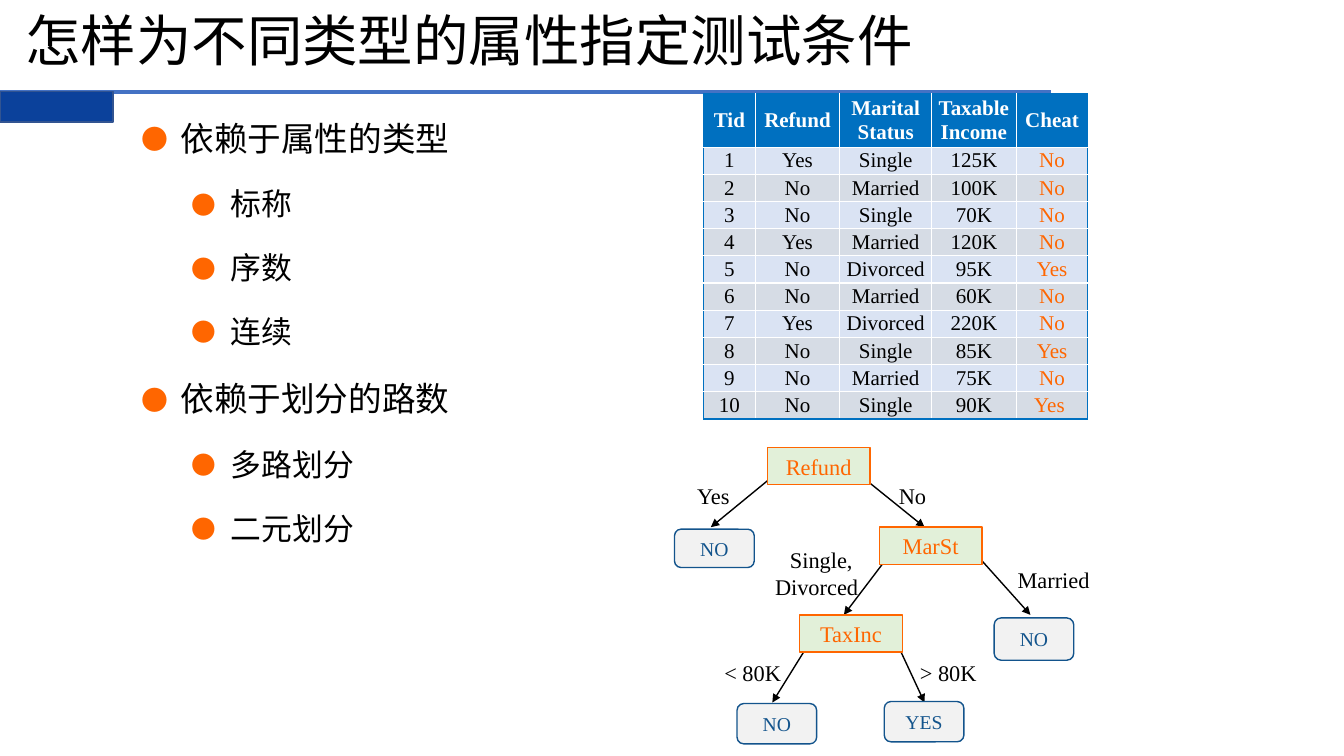
import dataclasses
import pptx
import pptx.util
import pptx.dml.color
import pptx.enum.shapes
import pptx.enum.text
import pptx.oxml
import pptx.oxml.ns
import lxml.etree

Inches, Pt = pptx.util.Inches, pptx.util.Pt
RGB = pptx.dml.color.RGBColor.from_string
SHAPE = pptx.enum.shapes.MSO_SHAPE
LINE = pptx.enum.shapes.MSO_CONNECTOR.STRAIGHT
ALIGN = pptx.enum.text.PP_ALIGN
ANCHOR = pptx.enum.text.MSO_ANCHOR
AUTOSIZE = pptx.enum.text.MSO_AUTO_SIZE
qn = pptx.oxml.ns.qn


@dataclasses.dataclass
class Theme:
    cjk: str = "Noto Sans CJK SC"
    latin: str = "Times New Roman"
    black: str = "000000"
    white: str = "FFFFFF"
    orange: str = "FF6600"
    rule: str = "4472C4"
    tab: str = "0B419B"
    tab_line: str = "325491"
    header: str = "0070C0"
    bands: tuple = ("DAE3F3", "D6DCE5")
    test_fill: str = "E2F0D9"
    leaf_fill: str = "F2F2F2"
    leaf: str = "13548C"
    title_size: float = 39.6
    body_sizes: tuple = (24, 22)
    cell_size: float = 15
    test_size: float = 16
    leaf_size: float = 14


theme = Theme()


def format_text(tf, size, color, align, font=theme.latin, bold=False):
    for p in tf.paragraphs:
        p.alignment = align
        for r in p.runs:
            r.font.size, r.font.bold, r.font.name = Pt(size), bold, font
            r.font.color.rgb = RGB(color)
            ea = lxml.etree.SubElement(r._r.get_or_add_rPr(), qn("a:ea"))
            ea.set("typeface", theme.cjk)


def add_line(x1, y1, x2, y2, color, width):
    ln = s.shapes.add_connector(LINE, Inches(x1), Inches(y1), Inches(x2), Inches(y2))
    ln.line.color.rgb = RGB(color)
    ln.line.width = Pt(width)
    lxml.etree.SubElement(ln._element.spPr, qn("a:effectLst"))
    return ln


prs = pptx.Presentation()
prs.slide_width, prs.slide_height = Inches(13.33), Inches(7.5)
s = prs.slides.add_slide(prs.slide_layouts[1])

add_line(0, 0.91, 10.42, 0.91, theme.rule, 3)
sp = s.shapes.add_shape(SHAPE.RECTANGLE, 0, Inches(0.91), Inches(1.12), Inches(0.3))
sp.shadow.inherit = False
sp.fill.solid()
sp.fill.fore_color.rgb = RGB(theme.tab)
sp.line.color.rgb = RGB(theme.tab_line)
sp.line.width = Pt(1)

title = s.shapes.title
title.left, title.top, title.width, title.height = map(Inches, (0.15, 0.12, 11.5, 0.62))
tf = title.text_frame
tf.text = "怎样为不同类型的属性指定测试条件"
tf.auto_size = AUTOSIZE.NONE
tf.vertical_anchor = ANCHOR.MIDDLE
tf.paragraphs[0].line_spacing = 0.9
format_text(tf, theme.title_size, theme.black, ALIGN.LEFT, theme.cjk)

outline = [(0, "依赖于属性的类型"), (1, "标称"), (1, "序数"), (1, "连续"),
           (0, "依赖于划分的路数"), (1, "多路划分"), (1, "二元划分")]
body = s.placeholders[1]
body.left, body.top, body.width, body.height = map(Inches, (1.3, 0.92, 3.82, 4.53))
tf = body.text_frame
tf.text = "\n".join(text for level, text in outline)
tf.auto_size = AUTOSIZE.NONE
format_text(tf, theme.body_sizes[1], theme.black, ALIGN.JUSTIFY)
for i, (p, (level, text)) in enumerate(zip(tf.paragraphs, outline)):
    p.level = level
    p.line_spacing = 1.5
    p.space_before = Pt(6 if i else 0)
    p.space_after = Pt(0)
    p.runs[0].font.size = Pt(theme.body_sizes[level])
    pPr = p._p.get_or_add_pPr()
    pPr.set("marL", str(Inches(0.39 + 0.5 * level)))
    pPr.set("indent", str(Inches(-0.39)))
    color = lxml.etree.SubElement(pPr, qn("a:buClr"))
    lxml.etree.SubElement(color, qn("a:srgbClr")).set("val", theme.orange)
    lxml.etree.SubElement(pPr, qn("a:buSzPct")).set("val", "80000")
    lxml.etree.SubElement(pPr, qn("a:buFont")).set("typeface", theme.cjk)
    lxml.etree.SubElement(pPr, qn("a:buChar")).set("char", "●")

records = [
    ("Tid", "Refund", "Marital Status", "Taxable Income", "Cheat"),
    ("1", "Yes", "Single", "125K", "No"),
    ("2", "No", "Married", "100K", "No"),
    ("3", "No", "Single", "70K", "No"),
    ("4", "Yes", "Married", "120K", "No"),
    ("5", "No", "Divorced", "95K", "Yes"),
    ("6", "No", "Married", "60K", "No"),
    ("7", "Yes", "Divorced", "220K", "No"),
    ("8", "No", "Single", "85K", "Yes"),
    ("9", "No", "Married", "75K", "No"),
    ("10", "No", "Single", "90K", "Yes "),
]
last_row, last_col = len(records) - 1, len(records[0]) - 1
table = s.shapes.add_table(len(records), len(records[0]), Inches(6.98), Inches(0.93),
                           Inches(3.82), Inches(3.19)).table
for column, width in zip(table.columns, (0.51, 0.84, 0.91, 0.84, 0.71)):
    column.width = Inches(width)
for i, record in enumerate(records):
    table.rows[i].height = Inches(0.27 if i else 0.53)
    for j, text in enumerate(record):
        cell = table.cell(i, j)
        cell.text = text
        cell.vertical_anchor = ANCHOR.MIDDLE
        cell.margin_left = cell.margin_right = cell.margin_top = cell.margin_bottom = 0
        cell.fill.solid()
        cell.fill.fore_color.rgb = RGB(theme.bands[(i - 1) % 2] if i else theme.header)
        color = theme.white if i == 0 else theme.orange if j == last_col else theme.black
        format_text(cell.text_frame, theme.cell_size, color, ALIGN.CENTER, bold=i == 0)
        outer = {"lnL": j == 0, "lnR": j == last_col, "lnT": i == 0, "lnB": i == last_row}
        for k, (side, on_edge) in enumerate(outer.items()):
            border = lxml.etree.Element(qn("a:" + side), w=str(Pt(1)))
            fill = lxml.etree.SubElement(border, qn("a:solidFill"))
            lxml.etree.SubElement(fill, qn("a:srgbClr")).set(
                "val", theme.header if on_edge else theme.white)
            cell._tc.get_or_add_tcPr().insert(k, border)

branches = [(8.9, 6.39, 9.17, 6.97), (8.02, 6.39, 7.66, 6.97), (8.81, 5.52, 8.37, 6.1),
            (9.7, 5.52, 10.22, 6.1), (8.55, 4.73, 9.17, 5.23), (7.66, 4.73, 7.05, 5.23)]
for branch in branches:
    ln = add_line(*branch, theme.black, 1)
    lxml.etree.SubElement(ln.line._get_or_add_ln(), qn("a:tailEnd")).set("type", "triangle")

tests = [("Refund", 7.61, 4.44, 0.37), ("MarSt", 8.72, 5.23, 0.37), ("TaxInc", 7.93, 6.1, 0.37)]
leaves = [("YES", 8.77, 6.96, 0.4), ("NO", 7.31, 6.98, 0.4),
          ("NO", 6.69, 5.25, 0.38), ("NO", 9.86, 6.13, 0.42)]
node_kinds = [
    (tests, SHAPE.RECTANGLE, 1.02, theme.test_fill, theme.orange, theme.test_size),
    (leaves, SHAPE.ROUNDED_RECTANGLE, 0.79, theme.leaf_fill, theme.leaf, theme.leaf_size),
]
for nodes, kind, width, fill, color, size in node_kinds:
    for text, x, y, height in nodes:
        sp = s.shapes.add_shape(kind, Inches(x), Inches(y), Inches(width), Inches(height))
        sp.shadow.inherit = False
        sp.fill.solid()
        sp.fill.fore_color.rgb = RGB(fill)
        sp.line.color.rgb = RGB(color)
        sp.line.width = Pt(1)
        tf = sp.text_frame
        tf.text = text
        tf.word_wrap = nodes is tests
        tf.vertical_anchor = ANCHOR.MIDDLE
        format_text(tf, size, color, ALIGN.CENTER)

labels = [
    ("Yes", 6.81, 4.73, 0.53, 0.37, ALIGN.CENTER),
    ("No", 8.81, 4.73, 0.48, 0.37, ALIGN.CENTER),
    ("Married ", 9.98, 5.57, 0.94, 0.37, ALIGN.CENTER),
    ("Single, \nDivorced", 7.57, 5.37, 1.04, 0.64, ALIGN.RIGHT),
    ("< 80K", 7.08, 6.49, 0.77, 0.37, ALIGN.CENTER),
    ("> 80K", 9.02, 6.49, 0.77, 0.37, ALIGN.CENTER),
]
for text, x, y, width, height, align in labels:
    sp = s.shapes.add_textbox(Inches(x), Inches(y), Inches(width), Inches(height))
    tf = sp.text_frame
    tf.text = text
    tf.word_wrap = True
    format_text(tf, theme.test_size, theme.black, align)

prs.save("out.pptx")
